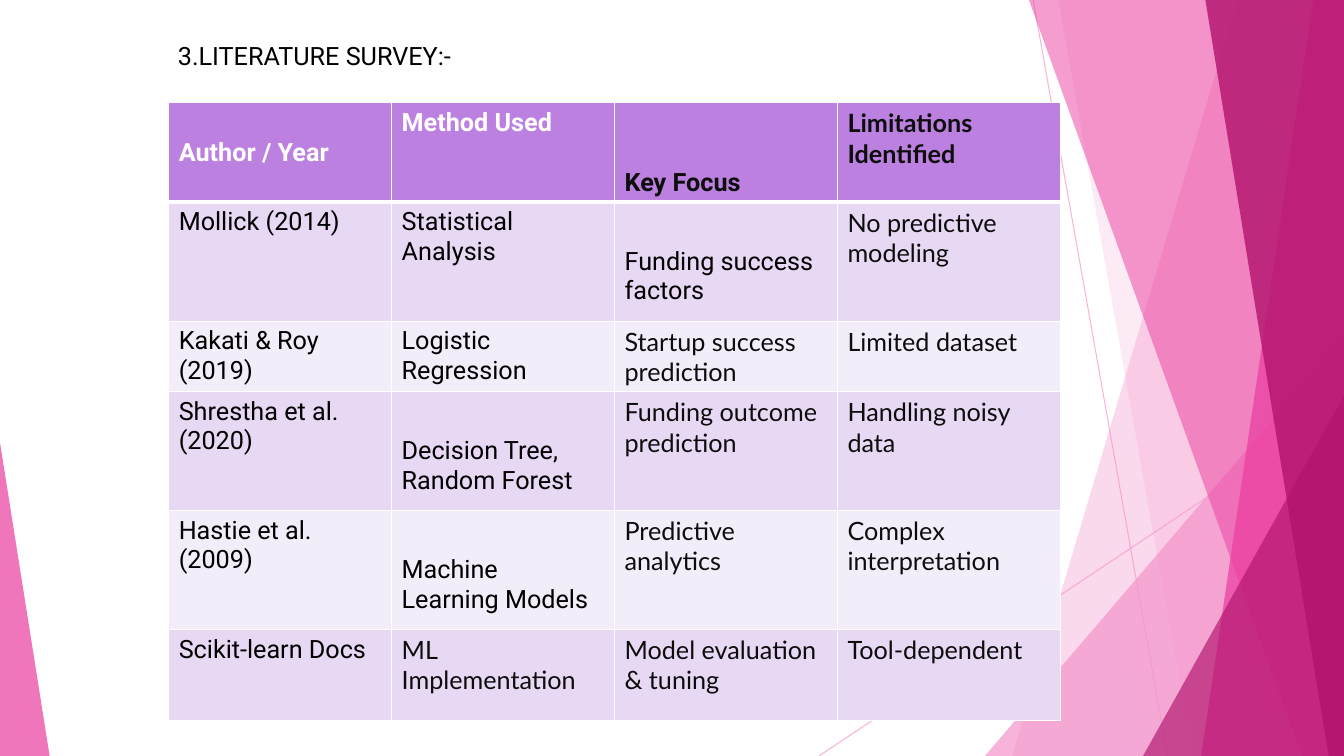
import dataclasses

import lxml.etree
import pptx
import pptx.dml.color
import pptx.enum.shapes
import pptx.enum.text
import pptx.oxml
import pptx.oxml.ns
import pptx.util

Pt = pptx.util.Pt
Anchor = pptx.enum.text.MSO_ANCHOR
qn = pptx.oxml.ns.qn


@dataclasses.dataclass(frozen=True)
class Theme:
    pale: str = "F496CB"
    pink: str = "EB3D9F"
    deep: str = "B2136D"
    header: str = "BC80E0"
    bands: tuple = ("E7D8F3", "F3EDF9")
    white: str = "FFFFFF"
    black: str = "000000"
    ink: str = "0D0D0D"
    main_font: str = "Roboto"
    second_font: str = "Lato"
    size: int = 18


@dataclasses.dataclass(frozen=True)
class Box:
    left: float
    top: float
    width: float
    height: float


THEME = Theme()
PAGE = Box(0, 0, 960, 540)
TITLE = Box(120, 25, 288, 29)
SURVEY = Box(120.5, 73.5, 637, 441)

ROW_HEIGHTS = (71, 85, 50, 85, 85, 65)
ROWS = (
    ("Author / Year", "Method Used", "Key Focus", "Limitations Identified"),
    ("Mollick (2014)", "Statistical Analysis", "Funding success factors",
     "No predictive modeling"),
    ("Kakati & Roy (2019)", "Logistic Regression", "Startup success prediction",
     "Limited dataset"),
    ("Shrestha et al. (2020)", "Decision Tree, Random Forest",
     "Funding outcome prediction", "Handling noisy data"),
    ("Hastie et al. (2009)", "Machine Learning Models", "Predictive analytics",
     "Complex interpretation"),
    ("Scikit-learn Docs", "ML Implementation", "Model evaluation & tuning",
     "Tool-dependent"),
)
# Cells as (row, column)
SECOND_FONT_CELLS = {(0, 3), (1, 3), (5, 1)} | {
    (row, column) for row in range(2, 6) for column in (2, 3)}
LOWERED_CELLS = {(1, 2), (3, 1), (4, 1)}
HEADER_ANCHORS = (Anchor.MIDDLE, Anchor.TOP, Anchor.BOTTOM, Anchor.TOP)


def rgb(value):
    return pptx.dml.color.RGBColor.from_string(value)


def set_alpha(properties, percent):
    color = next(properties.iter(qn("a:srgbClr")))
    lxml.etree.SubElement(color, qn("a:alpha"), val=str(percent * 1000))


def add_span(para, text, color, font=THEME.main_font, bold=False):
    span = para.add_run()
    span.text = text
    span.font.name = font
    span.font.size = Pt(THEME.size)
    span.font.bold = bold
    span.font.color.rgb = rgb(color)


# Background facets
def tint(shape, color, opacity):
    shape.shadow.inherit = False
    shape.fill.solid()
    shape.fill.fore_color.rgb = rgb(color)
    shape.line.fill.background()
    set_alpha(shape._element.spPr, opacity)


def add_ray(page, box, start, end):
    points = [Pt(value) for x, y in (start, end)
              for value in (box.left + x, box.top + y)]
    ray = page.shapes.add_connector(
        pptx.enum.shapes.MSO_CONNECTOR.STRAIGHT, *points)
    ray.line.color.rgb = rgb(THEME.pale)
    ray.line.width = Pt(0.75)
    set_alpha(ray._element.spPr, 70)
    lxml.etree.SubElement(ray._element.spPr, qn("a:effectLst"))


def add_shard(page, box, top_x, bottom_x, color, opacity):
    """Full-height facet reaching from a slanted edge to the right side."""
    right, bottom = box.left + box.width, box.top + box.height
    corners = [(box.left + top_x, box.top), (right, box.top),
               (right, bottom), (box.left + bottom_x, bottom)]
    corners = [(Pt(x), Pt(y)) for x, y in corners]
    builder = page.shapes.build_freeform(*corners[0], scale=1.0)
    builder.add_line_segments(corners[1:], close=True)
    tint(builder.convert_to_shape(), color, opacity)


def add_corner(page, box, width, height, apex, color, opacity):
    """Right triangle in a bottom corner: apex 0 is left, 1 is right."""
    corner = page.shapes.add_shape(
        pptx.enum.shapes.MSO_SHAPE.ISOSCELES_TRIANGLE,
        Pt(box.left + apex * (box.width - width)),
        Pt(box.top + box.height - height), Pt(width), Pt(height))
    corner.adjustments[0] = apex
    tint(corner, color, opacity)


def add_facets(page, box):
    add_ray(page, box, (738, 0), (834, 540))
    add_ray(page, box, (960, 290), (585, 540))
    add_shard(page, box, 884, 723, THEME.pale, 36)
    add_shard(page, box, 756, 852, THEME.pale, 20)
    add_corner(page, box, 256.5, 300, 1, THEME.pale, 72)
    add_shard(page, box, 735, 930, THEME.pink, 50)
    add_shard(page, box, 938, 858, THEME.pink, 70)
    add_shard(page, box, 861, 949, THEME.deep, 80)
    add_corner(page, box, 143.5, 257, 1, THEME.deep, 66)
    add_corner(page, box, 35.5, 224, 0, THEME.pink, 70)


# Heading
def add_title(page, box):
    title = page.shapes.add_textbox(
        Pt(box.left), Pt(box.top), Pt(box.width), Pt(box.height))
    title.text_frame.word_wrap = True
    add_span(title.text_frame.paragraphs[0], "3.LITERATURE SURVEY:-", THEME.black)


# Survey table
def set_borders(cell, row):
    widths = {"L": 1, "R": 1, "T": 3 if row == 1 else 1, "B": 3 if row == 0 else 1}
    properties = cell._tc.get_or_add_tcPr()
    for index, (side, width) in enumerate(widths.items()):
        border = lxml.etree.Element(qn("a:ln" + side), w=str(Pt(width)))
        fill = lxml.etree.SubElement(border, qn("a:solidFill"))
        lxml.etree.SubElement(fill, qn("a:srgbClr"), val=THEME.white)
        properties.insert(index, border)


def fill_cell(cell, row, column, text):
    header = row == 0
    second = (row, column) in SECOND_FONT_CELLS
    if header:
        color = THEME.white if column < 2 else THEME.ink
        cell.vertical_anchor = HEADER_ANCHORS[column]
    else:
        color = THEME.ink if second else THEME.black
    if (row, column) in LOWERED_CELLS:
        cell.margin_top = Pt(32)
        cell.margin_right = Pt(14.4)
    cell.fill.solid()
    cell.fill.fore_color.rgb = rgb(
        THEME.header if header else THEME.bands[(row - 1) % 2])
    set_borders(cell, row)
    add_span(cell.text_frame.paragraphs[0], text, color,
             THEME.second_font if second else THEME.main_font, header)


def add_survey(page, box):
    table = page.shapes.add_table(
        len(ROWS), len(ROWS[0]), Pt(box.left), Pt(box.top),
        Pt(box.width), Pt(box.height)).table
    for column in table.columns:
        column.width = Pt(box.width / len(ROWS[0]))
    for row, texts in enumerate(ROWS):
        table.rows[row].height = Pt(ROW_HEIGHTS[row])
        for column, text in enumerate(texts):
            fill_cell(table.cell(row, column), row, column, text)


def main():
    deck = pptx.Presentation()
    deck.slide_width, deck.slide_height = Pt(PAGE.width), Pt(PAGE.height)
    page = deck.slides.add_slide(deck.slide_layouts[6])
    add_facets(page, PAGE)
    add_survey(page, SURVEY)
    add_title(page, TITLE)
    deck.save("out.pptx")


if __name__ == "__main__":
    main()
